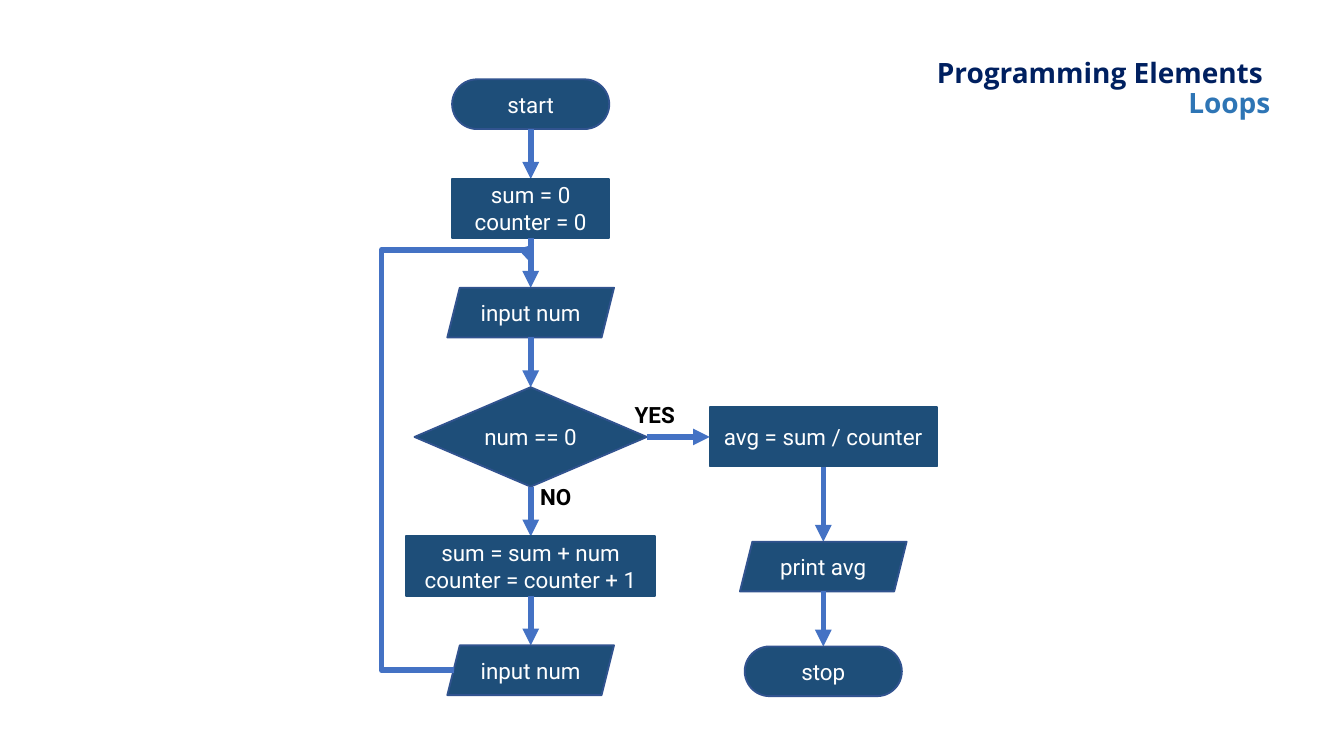
from copy import deepcopy

from lxml import etree
from pptx import Presentation
from pptx.dml.color import RGBColor
from pptx.enum import shapes, text
from pptx.oxml import ns
from pptx.util import Cm, Pt

NAVY = RGBColor(0x00, 0x20, 0x60)
SKY = RGBColor(0x2E, 0x75, 0xB5)
STEEL = RGBColor(0x1E, 0x4E, 0x79)
EDGE = RGBColor(0x31, 0x53, 0x8F)
ARROW = RGBColor(0x44, 0x72, 0xC4)
WHITE = RGBColor(0xFF, 0xFF, 0xFF)
BLACK = RGBColor(0x00, 0x00, 0x00)

FORMS = shapes.MSO_SHAPE
ROWS = {"small": 0.94, "box": 1.12, "decision": 1.88}
GAP = 0.94

# kind: (preset shape, corner or slant, outline colour, height)
KINDS = {
    "terminal": (FORMS.ROUNDED_RECTANGLE, 0.5, EDGE, ROWS["small"]),
    "data": (FORMS.PARALLELOGRAM, 0.25, EDGE, ROWS["small"]),
    "process": (FORMS.RECTANGLE, None, STEEL, ROWS["box"]),
    "decision": (FORMS.DIAMOND, None, EDGE, ROWS["decision"]),
}

# (kind, width, wording)
MAIN_STEPS = [
    ("terminal", 2.97, "start"),
    ("process", 2.97, "sum = 0\ncounter = 0"),
    ("data", 3.15, "input num"),
    ("decision", 4.39, "num == 0"),
    ("process", 4.7, "sum = sum + num\ncounter = counter + 1"),
    ("data", 3.15, "input num"),
]
EXIT_STEPS = [
    ("process", 4.29, "avg = sum / counter"),
    ("data", 3.15, "print avg"),
    ("terminal", 2.97, "stop"),
]


def write(frame, wording, font="Roboto", size=12, colour=WHITE, bold=False,
          align=text.PP_ALIGN.CENTER, anchor=text.MSO_ANCHOR.MIDDLE,
          insets=(0.18, 0.1), spacing=None):
    """Fill a text frame; a newline starts a paragraph, a vertical tab breaks a line."""
    frame.word_wrap = True
    frame.auto_size = text.MSO_AUTO_SIZE.NONE
    frame.vertical_anchor = anchor
    frame.margin_left = frame.margin_right = Cm(insets[0])
    frame.margin_top = frame.margin_bottom = Cm(insets[1])
    frame.text = wording
    for para in frame.paragraphs:
        para.alignment = align
        para.line_spacing = spacing
        for span in para.runs:
            span.font.name = font
            span.font.size = Pt(size)
            span.font.bold = bold
            span.font.color.rgb = colour
        # A line break needs the size of its text to keep the line height.
        for line_break in para._p.findall(ns.qn("a:br")):
            line_break.append(deepcopy(para.runs[0]._r.rPr))


def add_title(page, left, top, width, height):
    title = page.shapes.title
    title.left, title.top = Cm(left), Cm(top)
    title.width, title.height = Cm(width), Cm(height)
    write(title.text_frame, "Programming Elements \vLoops", font="Open Sans",
          size=15, colour=NAVY, bold=True, align=text.PP_ALIGN.RIGHT,
          insets=(0, 0), spacing=0.9)
    title.text_frame.paragraphs[0].runs[1].font.color.rgb = SKY


def add_step(page, kind, centre, top, width, wording):
    form, adjustment, edge, height = KINDS[kind]
    step = page.shapes.add_shape(form, Cm(centre - width / 2), Cm(top),
                                 Cm(width), Cm(height))
    if adjustment is not None:
        step.adjustments[0] = adjustment
    step.shadow.inherit = False
    step.fill.solid()
    step.fill.fore_color.rgb = STEEL
    step.line.color.rgb = edge
    step.line.width = Pt(1)
    write(step.text_frame, wording)


def add_arrow(page, start, end, form=shapes.MSO_CONNECTOR.STRAIGHT):
    arrow = page.shapes.add_connector(form, *map(Cm, start + end))
    arrow.line.color.rgb = ARROW
    arrow.line.width = Pt(3)
    line = arrow.line._get_or_add_ln()
    etree.SubElement(line, ns.qn("a:tailEnd"), type="triangle")
    etree.SubElement(arrow._element.spPr, ns.qn("a:effectLst"))
    return arrow


def add_loop_arrow(page, start, end, reach, rise):
    """Lead back from start to end, passing reach to its left and rise above the end."""
    arrow = add_arrow(page, start, end, shapes.MSO_CONNECTOR.ELBOW)
    across, up = end[0] - start[0], start[1] - end[1]
    geometry = arrow._element.spPr.find(ns.qn("a:prstGeom"))
    geometry.set("prst", "bentConnector4")
    guides = geometry.find(ns.qn("a:avLst"))
    for name, share in (("adj1", -reach / across), ("adj2", 1 + rise / up)):
        etree.SubElement(guides, ns.qn("a:gd"), name=name,
                         fmla=f"val {round(share * 100000)}")


def add_label(page, left, top, width, wording):
    label = page.shapes.add_textbox(Cm(left), Cm(top), Cm(width), Cm(0.71))
    write(label.text_frame, wording, colour=BLACK, bold=True,
          align=text.PP_ALIGN.LEFT, anchor=text.MSO_ANCHOR.TOP)


def add_column(page, centre, top, steps, gaps):
    """Stack steps joined by arrows and return the top of each."""
    tops = []
    for index, (kind, width, wording) in enumerate(steps):
        if index:
            add_arrow(page, (centre, top), (centre, top + gaps[index - 1]))
            top += gaps[index - 1]
        add_step(page, kind, centre, top, width, wording)
        tops.append(top)
        top += KINDS[kind][3]
    return tops


def add_flowchart(page, left, top):
    main, leave = left + 2.82, left + 8.35
    tops = add_column(page, main, top, MAIN_STEPS, [GAP] * 5)
    middle = tops[3] + ROWS["decision"] / 2
    tip = main + MAIN_STEPS[3][1] / 2

    add_column(page, leave, middle - ROWS["box"] / 2, EXIT_STEPS, [1.42, 1.04])
    add_arrow(page, (tip, middle), (leave - EXIT_STEPS[0][1] / 2, middle))
    add_label(page, tip - 0.41, middle - 0.77, 1.22, "YES")
    add_label(page, main, tops[3] + ROWS["decision"] - 0.16, 1.04, "NO")

    loop_start = (left + 1.38, tops[5] + ROWS["small"] / 2)
    loop_end = (main, tops[2] - GAP / 2)
    add_loop_arrow(page, loop_start, loop_end, reach=1.38, rise=0.25)


def main():
    deck = Presentation()
    deck.slide_width, deck.slide_height = Cm(25.4), Cm(14.29)
    page = deck.slides.add_slide(deck.slide_layouts[5])
    add_title(page, 9.91, 0.76, 14.1, 1.85)
    add_flowchart(page, 7.21, 1.5)
    deck.save("out.pptx")


if __name__ == "__main__":
    main()
